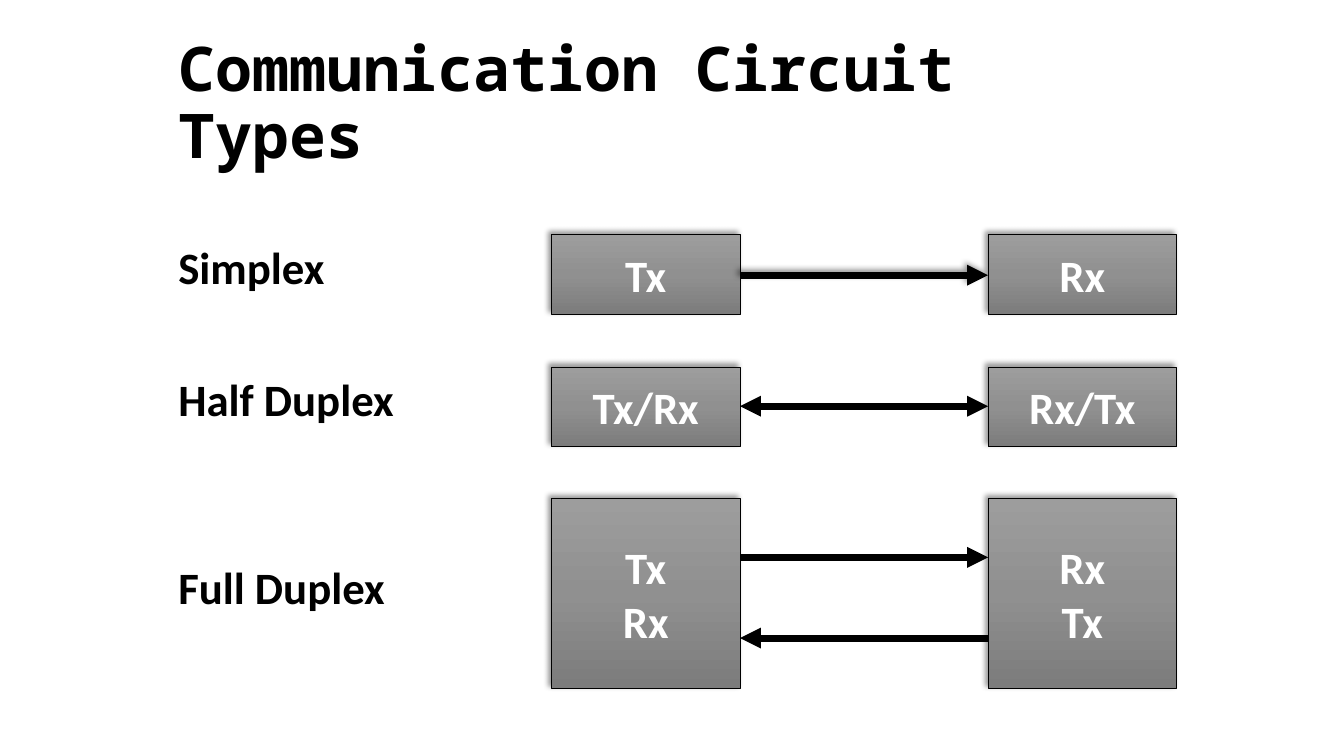
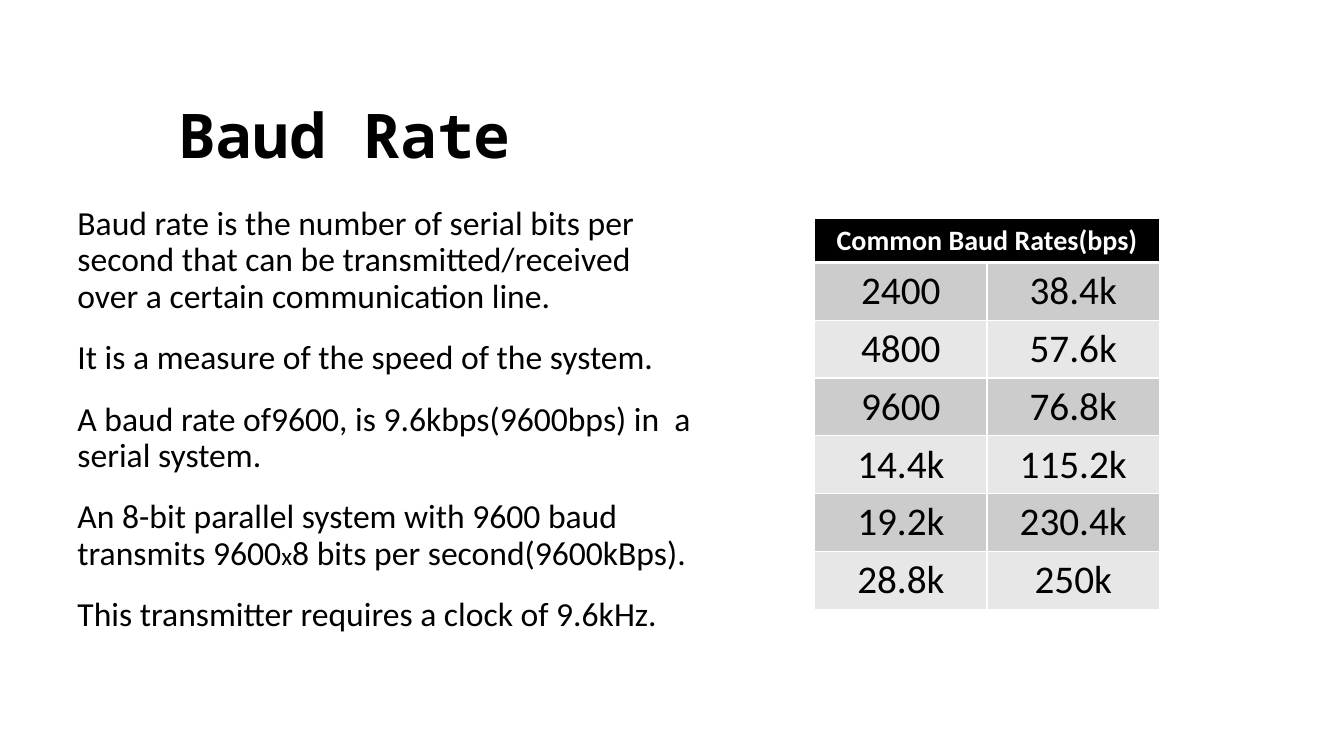
from copy import deepcopy
from dataclasses import dataclass

from lxml import etree
from pptx import Presentation
from pptx.dml.color import RGBColor
from pptx.enum.shapes import MSO_CONNECTOR, MSO_SHAPE
from pptx.enum.text import MSO_ANCHOR, PP_ALIGN
from pptx.oxml.ns import qn
from pptx.util import Inches, Pt

RECT = MSO_SHAPE.RECTANGLE
STRAIGHT = MSO_CONNECTOR.STRAIGHT
LEFT, CENTER = PP_ALIGN.LEFT, PP_ALIGN.CENTER
TOP, MIDDLE, BOTTOM = MSO_ANCHOR.TOP, MSO_ANCHOR.MIDDLE, MSO_ANCHOR.BOTTOM


@dataclass(frozen=True)
class Theme:
    title_font: str = "Noto Sans Mono"
    body_font: str = "Calibri"
    black: str = "000000"
    white: str = "FFFFFF"
    box_stops: tuple = ((0, "9D9D9D"), (0.5, "909090"), (1, "7C7C7C"))
    bands: tuple = ("CCCCCC", "E7E7E7")
    title_size: int = 44
    label_size: int = 32
    cell_size: int = 28
    body_size: int = 24
    header_size: int = 20
    small_size: int = 18
    title_box: tuple = (1.67, 0.5, 10, 1.25)


THEME = Theme()


# Shared helpers
def rgb(color):
    return RGBColor.from_string(color)


def inches(*values):
    return [Inches(v) for v in values]


def style_run(r, size, color=THEME.black, bold=False, font=THEME.body_font):
    r.font.size = Pt(size)
    r.font.bold = bold
    r.font.name = font
    r.font.color.rgb = rgb(color)


def set_text(tf, text, size, align=LEFT, anchor=TOP, **style):
    tf.text = text
    tf.word_wrap = True
    tf.vertical_anchor = anchor
    for p in tf.paragraphs:
        p.alignment = align
        for r in p.runs:
            style_run(r, size, **style)


def add_text(slide, box, text, size, **style):
    tf = slide.shapes.add_textbox(*inches(*box)).text_frame
    set_text(tf, text, size, **style)
    return tf


def add_title(slide, text):
    tf = add_text(slide, THEME.title_box, text, THEME.title_size,
                  anchor=BOTTOM, bold=True, font=THEME.title_font)
    tf.paragraphs[0].line_spacing = 0.9


def set_effects(sp, shadow):
    """Replace inherited effects with a soft upper-left shadow or none."""
    sp_pr = sp._element.spPr
    for old in sp_pr.findall(qn("a:effectLst")):
        sp_pr.remove(old)
    effects = etree.SubElement(sp_pr, qn("a:effectLst"))
    if shadow:
        outer = etree.SubElement(
            effects, qn("a:outerShdw"), blurRad=str(Pt(4)), dist=str(Pt(3)),
            dir=str(225 * 60000), algn="br", rotWithShape="0")
        color = etree.SubElement(outer, qn("a:srgbClr"), val=THEME.black)
        etree.SubElement(color, qn("a:alpha"), val="40000")


# Circuit diagram parts
def add_station(slide, box, text):
    sp = slide.shapes.add_shape(RECT, *inches(*box))
    sp.fill.gradient()
    sp.fill.gradient_angle = 270
    stop_list = sp._element.spPr.find(".//" + qn("a:gsLst"))
    stop_list.insert(1, deepcopy(stop_list[0]))
    for stop, (position, color) in zip(sp.fill.gradient_stops, THEME.box_stops):
        stop.position = position
        stop.color.rgb = rgb(color)
    sp.line.color.rgb = rgb(THEME.black)
    sp.line.width = Pt(0.5)
    set_effects(sp, shadow=True)
    set_text(sp.text_frame, text, THEME.label_size, align=CENTER,
             anchor=MIDDLE, color=THEME.white, bold=True)


def add_arrow(slide, x1, x2, y, both_ends=False, shadow=False):
    line = slide.shapes.add_connector(STRAIGHT, *inches(x1, y, x2, y))
    line.line.color.rgb = rgb(THEME.black)
    line.line.width = Pt(5)
    ln = line.line._get_or_add_ln()
    for tag in ("a:headEnd", "a:tailEnd") if both_ends else ("a:tailEnd",):
        etree.SubElement(ln, qn(tag), type="triangle")
    set_effects(line, shadow)


def add_circuit(slide, box, label, label_dy, stations, arrows):
    """One row: label at left, two stations at right, arrows between them."""
    left, top, width, height = box
    station_w, gap = 1.87, 2.46
    rx = left + width - station_w
    tx = rx - gap - station_w
    add_text(slide, (left, top + label_dy, 3.47, 0.64), label,
             THEME.label_size, bold=True)
    for x, text in zip((tx, rx), stations):
        add_station(slide, (x, top, station_w, height), text)
    for dy, direction, shadow in arrows:
        ends = (tx + station_w, rx)
        if direction == "back":
            ends = ends[::-1]
        add_arrow(slide, *ends, top + dy, direction == "both", shadow)


def circuit_slide(slide):
    add_title(slide, "Communication Circuit Types")
    left, width, height = 1.67, 10, 0.79
    circuits = [
        (2.33, height, "Simplex", 0, ("Tx", "Rx"), [(0.4, "out", True)]),
        (3.64, height, "Half Duplex", 0, ("Tx/Rx", "Rx/Tx"),
         [(0.39, "both", False)]),
        (4.94, 1.89, "Full Duplex", 0.56, ("Tx\nRx", "Rx\nTx"),
         [(0.59, "out", False), (1.39, "back", False)]),
    ]
    for top, row_h, *parts in circuits:
        add_circuit(slide, (left, top, width, row_h), *parts)


# Baud rate parts
def add_body(slide, box, paragraphs):
    """Each paragraph is a list of (text, size) runs."""
    tf = slide.shapes.add_textbox(*inches(*box)).text_frame
    tf.word_wrap = True
    for i, runs in enumerate(paragraphs):
        p = tf.add_paragraph() if i else tf.paragraphs[0]
        p.line_spacing = 0.9
        p.space_before = Pt(18)
        for text, size in runs:
            r = p.add_run()
            r.text = text
            style_run(r, size)


def set_borders(cell, bottom=1):
    tc_pr = cell._tc.get_or_add_tcPr()
    for i, (side, width) in enumerate(zip("LRTB", (1, 1, 1, bottom))):
        ln = etree.Element(qn("a:ln" + side), w=str(Pt(width)))
        fill = etree.SubElement(ln, qn("a:solidFill"))
        etree.SubElement(fill, qn("a:srgbClr"), val=THEME.white)
        tc_pr.insert(i, ln)


def fill_cell(cell, text, size, fill, bottom=1, **style):
    set_text(cell.text_frame, text, size, align=CENTER, **style)
    cell.vertical_anchor = MIDDLE
    cell.fill.solid()
    cell.fill.fore_color.rgb = rgb(fill)
    set_borders(cell, bottom)


def add_rate_table(slide, box, header, rates):
    header_h = 0.43
    table = slide.shapes.add_table(len(rates) + 1, 2, *inches(*box)).table
    row_h = (box[3] - header_h) / len(rates)
    for i, row in enumerate(table.rows):
        row.height = Inches(row_h if i else header_h)
    table.cell(0, 0).merge(table.cell(0, 1))
    for col, text in enumerate((header, "")):
        fill_cell(table.cell(0, col), text, THEME.header_size, THEME.black,
                  bottom=3, color=THEME.white, bold=True)
    for i, pair in enumerate(rates):
        for col, rate in enumerate(pair):
            fill_cell(table.cell(i + 1, col), rate, THEME.cell_size,
                      THEME.bands[i % 2])


def baud_slide(slide):
    add_title(slide, "Baud Rate")
    size = THEME.body_size
    add_body(slide, (0.67, 2, 6.33, 5), [
        [("Baud rate is the number of serial bits per second that can be "
          "transmitted/received over a certain communication line.", size)],
        [("It is a measure of the speed of the system.", size)],
        [("A baud rate of9600, is 9.6kbps(9600bps) in  a serial system.", size)],
        [("An 8-bit parallel system with 9600 baud transmits 9600", size),
         ("x", THEME.small_size),
         ("8 bits per second(9600kBps).", size)],
        [("This transmitter requires a clock of 9.6kHz.", size)],
    ])
    add_rate_table(slide, (8.08, 2.17, 3.42, 3.87), "Common Baud Rates(bps)", [
        ("2400", "38.4k"), ("4800", "57.6k"), ("9600", "76.8k"),
        ("14.4k", "115.2k"), ("19.2k", "230.4k"), ("28.8k", "250k"),
    ])


def main():
    prs = Presentation()
    prs.slide_width, prs.slide_height = inches(13.33, 7.5)
    blank = prs.slide_layouts[6]
    for build in (circuit_slide, baud_slide):
        build(prs.slides.add_slide(blank))
    prs.save("out.pptx")


if __name__ == "__main__":
    main()
